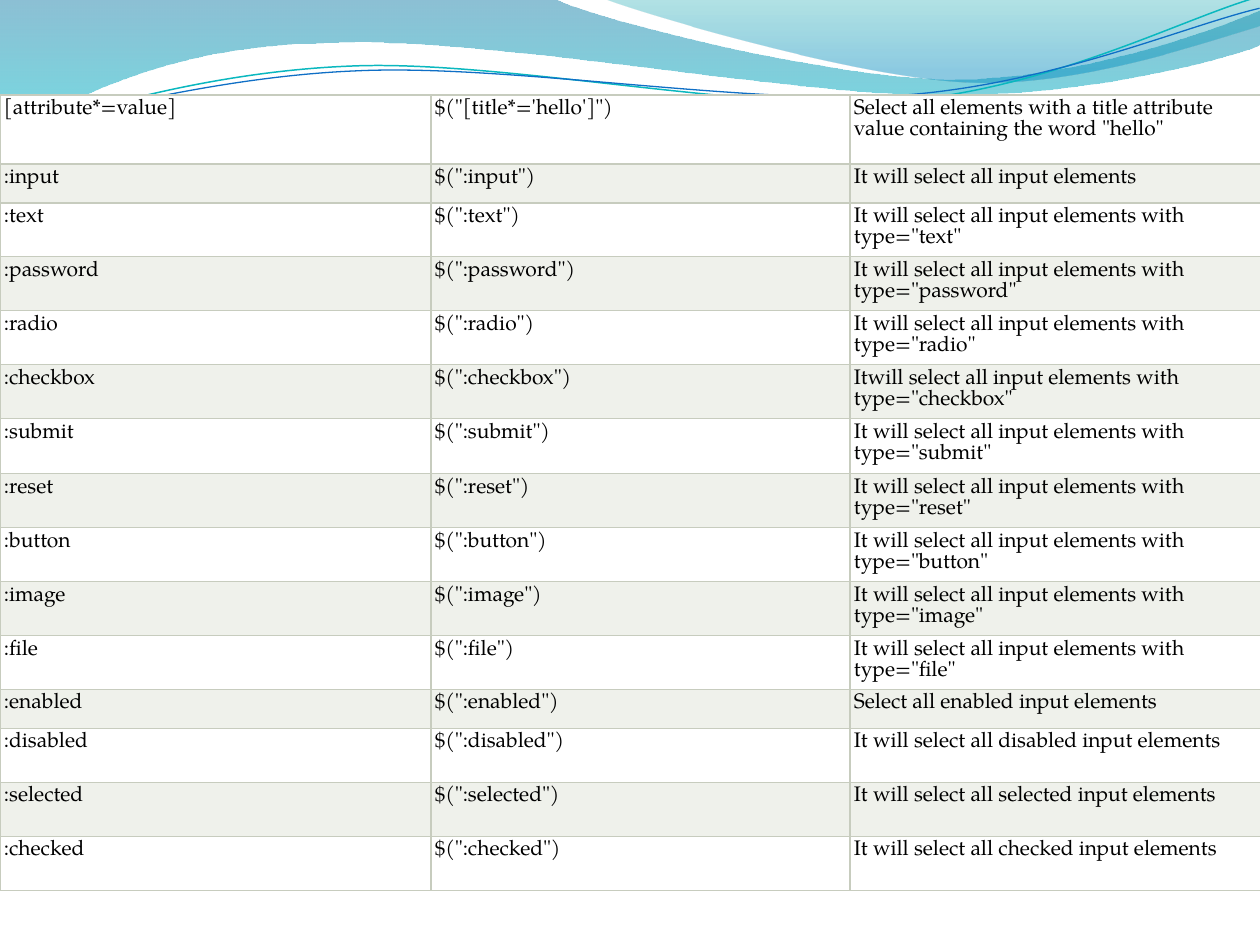
"""Builds a slide with a table of jQuery selectors under a wave header."""
from dataclasses import dataclass

from lxml.etree import SubElement
from pptx import Presentation
from pptx.dml.color import RGBColor
from pptx.oxml.ns import qn
from pptx.util import Pt

EMU_PER_PX = 914400 / 126


@dataclass(frozen=True)
class Theme:
    font: str = "TeX Gyre Pagella"
    text_size: float = 12
    text: str = "000000"
    bands: tuple = ("FFFFFF", "EFF1EB")
    border: str = "C7CCBE"
    border_width: float = 0.75
    wave: tuple = ((0, "0074A1", 45), (1, "00C6CF", 55))
    crest: tuple = ((0, "00A1A9", 30), (0.8, "008BBF", 45))
    teal: str = "0AB8BF"
    blue: str = "0F6FC6"


def px(value):
    return round(value * EMU_PER_PX)


class SlideBuilder:
    def __init__(self, slide, theme):
        self.slide = slide
        self.theme = theme

    def outline(self, start, segments, close):
        """Draws line ends (2 numbers) and cubic curves (6 numbers)."""
        points = [(px(x), px(y)) for segment in segments
                  for x, y in zip(segment[::2], segment[1::2])]
        builder = self.slide.shapes.build_freeform(px(start[0]), px(start[1]))
        builder.add_line_segments(points, close=close)
        shape = builder.convert_to_shape()
        shape.shadow.inherit = False
        lines = iter(list(shape.element.iter(qn("a:lnTo"))))
        for segment in segments:
            first = next(lines)
            if len(segment) == 6:
                first.tag = qn("a:cubicBezTo")
                for line in (next(lines), next(lines)):
                    first.append(line[0])
                    line.getparent().remove(line)
        return shape

    def wave(self, start, segments, stops):
        shape = self.outline(start, segments, True)
        shape.line.fill.background()
        shape.fill.gradient()
        shape.fill.gradient_angle = 270
        for stop, (position, color, _) in zip(shape.fill.gradient_stops, stops):
            stop.position = position
            stop.color.rgb = RGBColor.from_string(color)
        for element, (_, _, opacity) in zip(shape.element.iter(qn("a:srgbClr")), stops):
            SubElement(element, qn("a:alpha"), val=str(opacity * 1000))

    def curve(self, start, segments, color, width):
        shape = self.outline(start, segments, False)
        shape.fill.background()
        shape.line.color.rgb = RGBColor.from_string(color)
        shape.line.width = Pt(width)
        shape.rotation = 357.3

    def border(self, cell):
        properties = cell._tc.get_or_add_tcPr()
        for side in ("lnL", "lnR", "lnT", "lnB"):
            line = SubElement(properties, qn(f"a:{side}"), w=str(Pt(self.theme.border_width)))
            fill = SubElement(line, qn("a:solidFill"))
            SubElement(fill, qn("a:srgbClr"), val=self.theme.border)

    def cell(self, cell, text, color):
        self.border(cell)
        cell.fill.solid()
        cell.fill.fore_color.rgb = RGBColor.from_string(color)
        cell.margin_left = cell.margin_right = px(4)
        cell.margin_top = cell.margin_bottom = px(4)
        cell.text_frame.text = text
        font = cell.text_frame.paragraphs[0].runs[0].font
        font.name = self.theme.font
        font.size = Pt(self.theme.text_size)
        font.color.rgb = RGBColor.from_string(self.theme.text)

    def table(self, left, top, widths, heights, rows):
        table = self.slide.shapes.add_table(
            len(rows), len(widths), px(left), px(top), px(sum(widths)), px(sum(heights))).table
        table.first_row = table.horz_banding = False
        for column, width in zip(table.columns, widths):
            column.width = px(width)
        for index, (row, height, texts) in enumerate(zip(table.rows, heights, rows)):
            row.height = px(height)
            for cell, text in zip(row.cells, texts):
                self.cell(cell, text, self.theme.bands[index % 2])


def selector_rows():
    """Lists each selector with its example and its meaning."""
    rows = [("[attribute*=value]", "$(\"[title*='hello']\")",
             'Select all elements with a title attribute value containing the word "hello"')]
    types = ("text", "password", "radio", "checkbox", "submit", "reset", "button", "image", "file")
    meanings = {"input": "It will select all input elements"}
    for name in types:
        opening = "Itwill" if name == "checkbox" else "It will"
        meanings[name] = f'{opening} select all input elements with type="{name}"'
    meanings["enabled"] = "Select all enabled input elements"
    for state in ("disabled", "selected", "checked"):
        meanings[state] = f"It will select all {state} input elements"
    rows += [(f":{name}", f'$(":{name}")', meaning) for name, meaning in meanings.items()]
    return rows


def main():
    presentation = Presentation()
    presentation.slide_width, presentation.slide_height = px(1260), px(945)
    theme = Theme()
    builder = SlideBuilder(presentation.slides.add_slide(presentation.slide_layouts[6]), theme)

    builder.wave((0, 0), [(554, -1), (600, 21, 837, 79, 955, 79),
                          (1075, 79, 1207, 33, 1260, 11), (1261, 45),
                          (1239, 55, 1096, 96, 940, 95), (784, 95, 481, 35, 324, 43),
                          (163, 45, 58, 105, -1, 142), (0, 0)], theme.wave)
    builder.wave((604, -1), [(641, 14, 859, 78, 969, 82), (1079, 87, 1211, 40, 1260, 26),
                             (1260, 0), (604, -1)], theme.crest)
    builder.curve((-3, 110), [(58, 90, 200, 52, 350, 53), (499, 53, 745, 118, 896, 114),
                              (1049, 109, 1184, 45, 1260, 27)], theme.teal, 0.85)
    builder.curve((-2, 101), [(57, 94, 207, 57, 357, 58), (509, 58, 750, 112, 902, 108),
                              (1052, 104, 1187, 52, 1262, 38)], theme.blue, 0.75)

    heights = [69, 39] + [54] * 4 + [55] + [54] * 4 + [39] + [54] * 3
    builder.table(0, 95, (431, 419, 419), heights, selector_rows())
    presentation.save("out.pptx")


if __name__ == "__main__":
    main()
